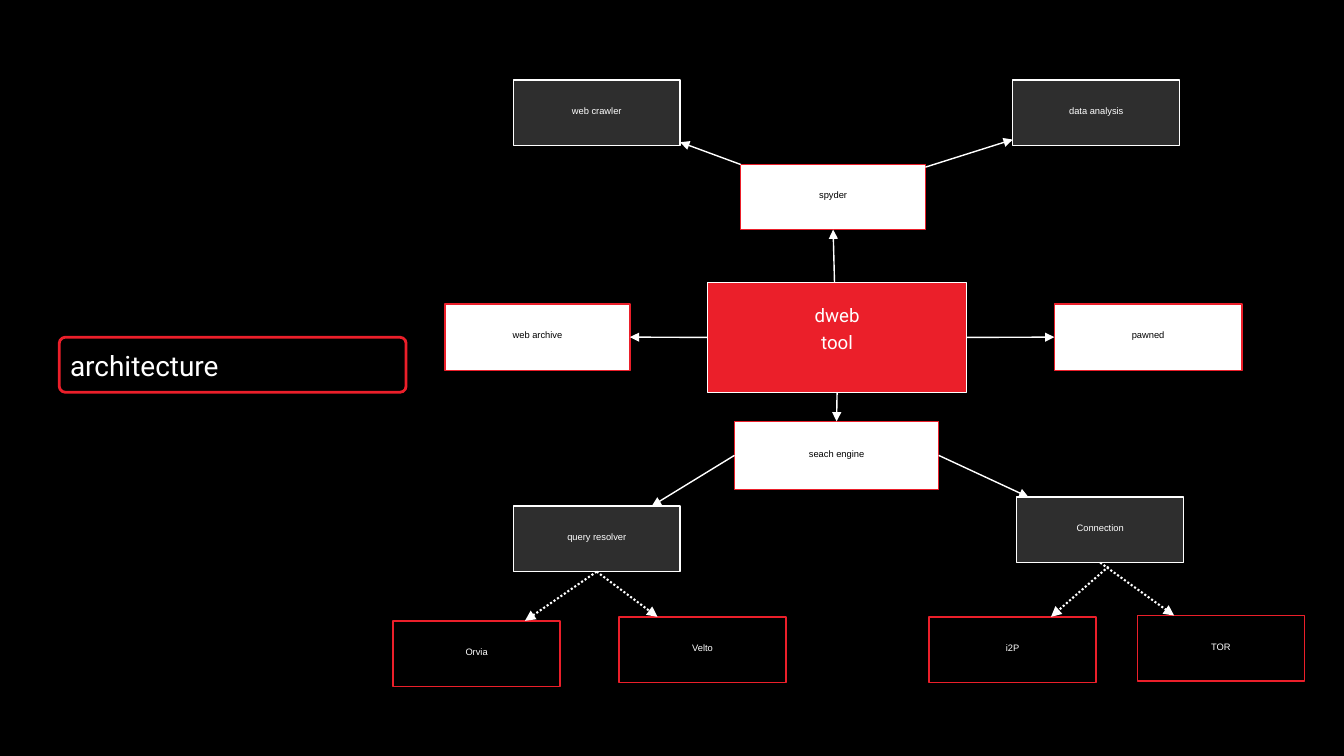
"""Build the architecture slide: a tool, its modules and their parts."""
from lxml import etree
from pptx import Presentation
from pptx.dml.color import RGBColor
from pptx.enum.dml import MSO_LINE
from pptx.enum.shapes import MSO_CONNECTOR, MSO_SHAPE
from pptx.enum.text import MSO_ANCHOR, PP_ALIGN
from pptx.oxml.ns import qn
from pptx.util import Cm, Pt

BLACK = RGBColor(0x00, 0x00, 0x00)
WHITE = RGBColor(0xFF, 0xFF, 0xFF)
RED = RGBColor(0xEB, 0x1F, 0x2A)
GREY = RGBColor(0x2E, 0x2E, 0x2E)
RECTANGLE = MSO_SHAPE.RECTANGLE
ROUNDED = MSO_SHAPE.ROUNDED_RECTANGLE
STRAIGHT = MSO_CONNECTOR.STRAIGHT
DOTTED = MSO_LINE.ROUND_DOT
CENTER, LEFT = PP_ALIGN.CENTER, PP_ALIGN.LEFT
MIDDLE, TOP = MSO_ANCHOR.MIDDLE, MSO_ANCHOR.TOP

SLIDE_SIZE = (50.8, 28.58)
TITLE = ("architecture", (2.24, 12.75, 13.11, 2.08))
TOOL = ("dweb\ntool", (26.75, 10.67, 9.78, 4.17))
MODULES = [
    ("web archive", (16.82, 11.49, 6.99, 2.51)),
    ("spyder", (28, 6.22, 6.98, 2.46)),
    ("seach engine", (27.76, 15.93, 7.72, 2.57)),
    ("pawned", (39.85, 11.49, 7.09, 2.51)),
]
PART_SIZE = (6.31, 2.48)
PARTS = [
    ("data analysis", (38.28, 3.02)),
    ("web crawler", (19.4, 3.02)),
    ("query resolver", (19.4, 19.13)),
    ("Connection", (38.43, 18.79)),
]
SERVICES = [
    ("Orvia", (14.86, 23.47)),
    ("Velto", (23.4, 23.32)),
    ("TOR", (42.99, 23.27)),
    ("i2P", (35.12, 23.32)),
]
SOLID_ARROWS = [
    ("dweb\ntool", (1, 0.5), "pawned", (0, 0.5)),
    ("dweb\ntool", (0, 0.5), "web archive", (1, 0.5)),
    ("dweb\ntool", (0.49, 0), "spyder", (0.5, 1)),
    ("dweb\ntool", (0.5, 1), "seach engine", (0.5, 0)),
    ("spyder", (1, 0.04), "data analysis", (0, 0.91)),
    ("spyder", (0, 0), "web crawler", (1, 0.95)),
    ("seach engine", (0, 0.5), "query resolver", (0.83, 0)),
    ("seach engine", (1, 0.5), "Connection", (0.07, 0)),
]
DOTTED_ARROWS = [
    ("query resolver", (0.5, 1), "Orvia", (0.79, 0)),
    ("query resolver", (0.5, 1), "Velto", (0.23, 0)),
    ("Connection", (0.5, 1), "TOR", (0.22, 0)),
    ("Connection", (0.55, 1.06), "i2P", (0.73, 0)),
]


def write_text(shape, text, font="Arial", size=10, color=WHITE, spacing=17,
               align=CENTER, anchor=MIDDLE, insets=(0.71, 0.38, 0.71, 0.71)):
    frame = shape.text_frame
    frame.word_wrap = True
    frame.vertical_anchor = anchor
    (frame.margin_left, frame.margin_top,
     frame.margin_right, frame.margin_bottom) = map(Cm, insets)
    frame.text = text
    for paragraph in frame.paragraphs:
        paragraph.alignment = align
        paragraph.line_spacing = Pt(spacing)
        paragraph.font.name = font
        paragraph.font.size = Pt(size)
        paragraph.font.color.rgb = color


def add_box(slide, text, bounds, fill, outline, kind=RECTANGLE, width=1.5, **text_format):
    shape = slide.shapes.add_shape(kind, *map(Cm, bounds))
    shape.shadow.inherit = False
    shape.fill.solid()
    shape.fill.fore_color.rgb = fill
    shape.line.color.rgb = outline
    shape.line.width = Pt(width)
    write_text(shape, text, **text_format)
    return shape


def point_on(shape, fraction):
    across, down = fraction
    return (round(shape.left + across * shape.width),
            round(shape.top + down * shape.height))


def add_arrow(slide, start, end, width, dash=None):
    connector = slide.shapes.add_connector(STRAIGHT, *start, *end)
    connector.line.color.rgb = WHITE
    connector.line.width = Pt(width)
    if dash:
        connector.line.dash_style = dash
    line = connector.line._get_or_add_ln()
    etree.SubElement(line, qn("a:tailEnd"), type="triangle", w="lg", len="lg")
    etree.SubElement(connector._element.spPr, qn("a:effectLst"))


def main():
    presentation = Presentation()
    presentation.slide_width, presentation.slide_height = map(Cm, SLIDE_SIZE)
    slide = presentation.slides.add_slide(presentation.slide_layouts[6])
    slide.background.fill.solid()
    slide.background.fill.fore_color.rgb = BLACK

    boxes = {}
    text, bounds = TOOL
    boxes[text] = add_box(slide, text, bounds, RED, WHITE, font="Roboto", size=20,
                          spacing=28.6, insets=(0.71, 0, 0.71, 0.81))
    for text, bounds in MODULES:
        boxes[text] = add_box(slide, text, bounds, WHITE, RED, color=BLACK)
    for group, fill, outline in ((PARTS, GREY, WHITE), (SERVICES, BLACK, RED)):
        for text, corner in group:
            boxes[text] = add_box(slide, text, corner + PART_SIZE, fill, outline)

    for arrows, width, dash in ((SOLID_ARROWS, 1.5, None), (DOTTED_ARROWS, 2.25, DOTTED)):
        for source, exit_point, target, entry_point in arrows:
            add_arrow(slide, point_on(boxes[source], exit_point),
                      point_on(boxes[target], entry_point), width, dash)

    title = add_box(slide, *TITLE, BLACK, RED, kind=ROUNDED, width=3, font="Roboto",
                    size=30, spacing=42, align=LEFT, anchor=TOP,
                    insets=(0.34, 0.16, 0, 0))
    title.adjustments[0] = 0.11
    presentation.save("out.pptx")


if __name__ == "__main__":
    main()
